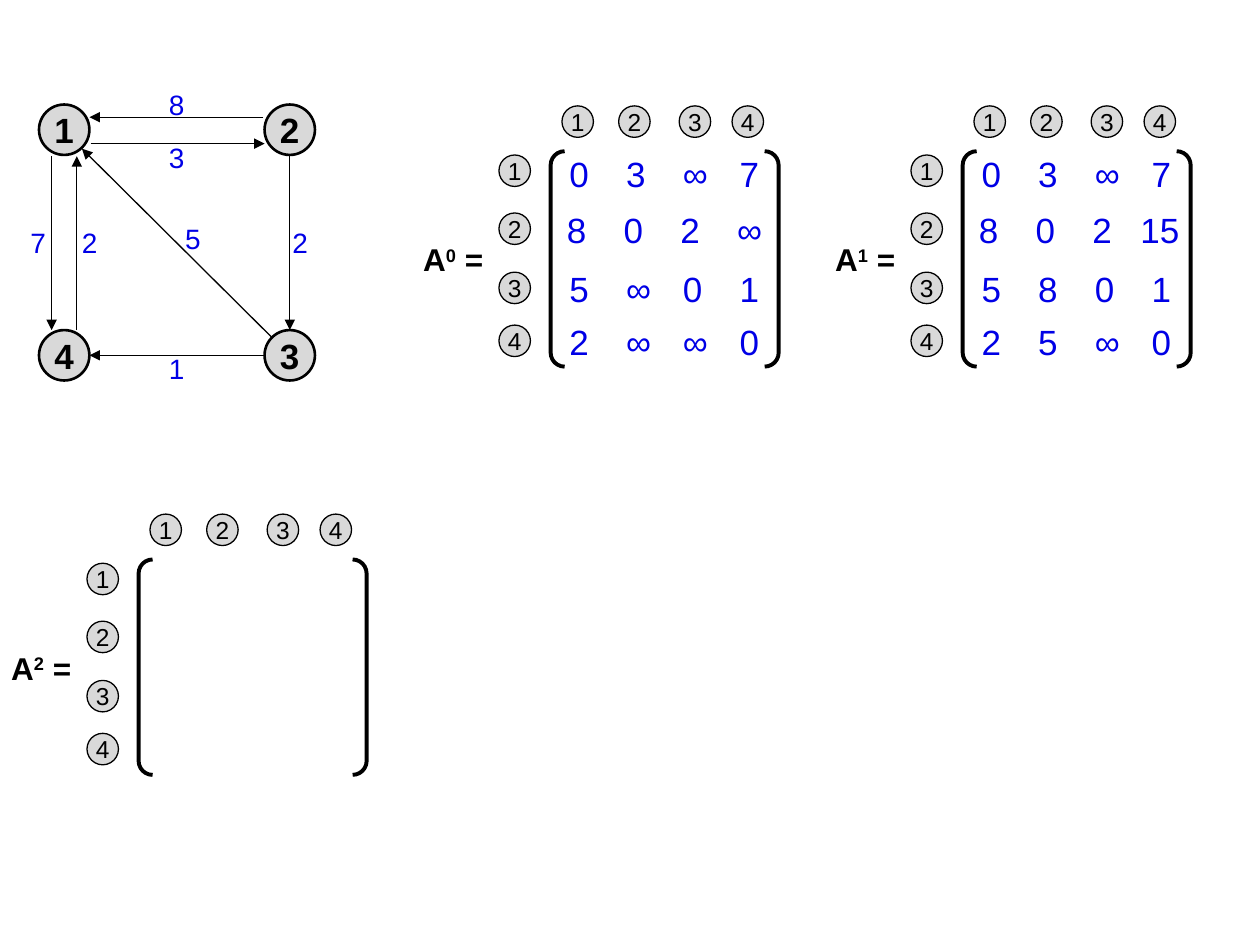
from dataclasses import dataclass

from lxml.etree import SubElement
from pptx import Presentation
from pptx.dml.color import RGBColor
from pptx.enum.shapes import MSO_CONNECTOR, MSO_SHAPE
from pptx.enum.text import MSO_ANCHOR, MSO_AUTO_SIZE, PP_ALIGN
from pptx.oxml.ns import qn
from pptx.util import Inches, Pt

SLIDE_WIDTH, SLIDE_HEIGHT = Inches(10), Inches(7.5)
GRID_COLUMNS = 1000
UNIT = SLIDE_WIDTH // GRID_COLUMNS


@dataclass(frozen=True)
class Theme:
    font: str = "Arial"
    ink: RGBColor = RGBColor(0, 0, 0)
    value: RGBColor = RGBColor(0, 0, 0xE6)
    node: RGBColor = RGBColor(0xD9, 0xD9, 0xD9)
    node_size: int = 20
    entry_size: int = 20
    label_size: int = 18
    weight_size: int = 16
    index_size: int = 14
    thin: float = 0.75
    medium: float = 1.5
    thick: float = 2.25


THEME = Theme()
NO_MARGINS = dict.fromkeys(
    ("margin_left", "margin_top", "margin_right", "margin_bottom"), 0)


@dataclass(frozen=True)
class Box:
    column: int
    row: int

    def point(self, column, row):
        return (self.column + column) * UNIT, (self.row + row) * UNIT

    def area(self, column, row, columns, rows):
        return *self.point(column, row), columns * UNIT, rows * UNIT


def apply(target, formats):
    for name, value in formats.items():
        setattr(target, name, value)


def add_span(para, text, size, color, bold=False):
    span = para.add_run()
    span.text = text
    apply(span.font, {"name": THEME.font, "size": Pt(size), "bold": bold})
    span.font.color.rgb = color
    return span


def add_circle(group, area, text, size, line_width, bold=False):
    circle = group.shapes.add_shape(MSO_SHAPE.OVAL, *area)
    circle.shadow.inherit = False
    circle.fill.solid()
    circle.fill.fore_color.rgb = THEME.node
    circle.line.color.rgb = THEME.ink
    circle.line.width = Pt(line_width)
    frame = circle.text_frame
    apply(frame, {**NO_MARGINS, "word_wrap": False,
                  "vertical_anchor": MSO_ANCHOR.MIDDLE})
    para = frame.paragraphs[0]
    para.alignment = PP_ALIGN.CENTER
    add_span(para, text, size, THEME.ink, bold)


def add_value(group, area, text, size):
    frame = group.shapes.add_textbox(*area).text_frame
    apply(frame, {**NO_MARGINS, "word_wrap": False,
                  "auto_size": MSO_AUTO_SIZE.SHAPE_TO_FIT_TEXT,
                  "vertical_anchor": MSO_ANCHOR.MIDDLE})
    add_span(frame.paragraphs[0], text, size, THEME.value)


def add_arrow(group, start, end):
    arrow = group.shapes.add_connector(MSO_CONNECTOR.STRAIGHT, *start, *end)
    arrow.line.color.rgb = THEME.ink
    arrow.line.width = Pt(THEME.thin)
    properties = arrow.element.spPr
    SubElement(properties.find(qn("a:ln")), qn("a:tailEnd"), type="triangle")
    SubElement(properties, qn("a:effectLst"))


def add_graph(page, box):
    nodes = {"3": (186, 193), "2": (186, 14), "1": (7, 14), "4": (7, 193)}
    edges = [
        ((186, 213), (47, 213), "1", (110, 210)),
        ((192, 199), (41, 49), "5", (123, 107)),
        ((206, 55), (206, 193), "2", (208, 110)),
        ((185, 24), (47, 24), "8", (110, 0)),
        ((48, 45), (186, 45), "3", (110, 42)),
        ((17, 55), (17, 193), "7", (0, 110)),
        ((37, 193), (37, 55), "2", (41, 110)),
    ]
    group = page.shapes.add_group_shape()
    for name, corner in nodes.items():
        add_circle(group, box.area(*corner, 40, 40), name,
                   THEME.node_size, THEME.medium, bold=True)
    for start, end, weight, corner in edges:
        add_arrow(group, box.point(*start), box.point(*end))
        add_value(group, box.area(*corner, 12, 27), weight, THEME.weight_size)


def add_brackets(group, area):
    brackets = group.shapes.add_shape(MSO_SHAPE.DOUBLE_BRACKET, *area)
    brackets.shadow.inherit = False
    brackets.adjustments[0] = 0.065
    brackets.fill.background()
    brackets.line.color.rgb = THEME.ink
    brackets.line.width = Pt(THEME.thick)


def add_matrix_name(group, area, power):
    frame = group.shapes.add_textbox(*area).text_frame
    apply(frame, {"word_wrap": False,
                  "auto_size": MSO_AUTO_SIZE.SHAPE_TO_FIT_TEXT})
    for text, baseline in (("A", 0), (power, 30000), (" =", 0)):
        span = add_span(frame.paragraphs[0], text, THEME.label_size,
                        THEME.ink, bold=True)
        if baseline:
            span.font._element.set("baseline", str(baseline))


def add_matrix(page, box, power, entries):
    index_columns = (120, 165, 213, 255)
    index_rows = (39, 85, 132, 174)
    row_starts = ((126, 37), (124, 81), (126, 128), (126, 170))
    column_step, digit_width = 45, 16
    widths = {"∞": 20, "15": 31}

    group = page.shapes.add_group_shape()
    for (start, top), line in zip(row_starts, entries):
        for place, entry in enumerate(line.split()):
            width = widths.get(entry, digit_width)
            shift = (width - digit_width) // 2 if len(entry) > 1 else 0
            left = start + place * column_step - shift
            add_value(group, box.area(left, top, width, 34), entry,
                      THEME.entry_size)
    add_brackets(group, box.area(111, 36, 181, 171))
    add_matrix_name(group, box.area(0, 102, 69, 40), power)
    corners = [(column, 0) for column in index_columns]
    corners += [(70, row) for row in index_rows]
    for place, corner in enumerate(corners):
        add_circle(group, box.area(*corner, 25, 25), str(place % 4 + 1),
                   THEME.index_size, THEME.thin)


def main():
    deck = Presentation()
    apply(deck, {"slide_width": SLIDE_WIDTH, "slide_height": SLIDE_HEIGHT})
    page = deck.slides.add_slide(deck.slide_layouts[6])
    add_graph(page, Box(24, 69))
    add_matrix(page, Box(326, 84), "0",
               ("0 3 ∞ 7", "8 0 2 ∞", "5 ∞ 0 1", "2 ∞ ∞ 0"))
    add_matrix(page, Box(653, 84), "1",
               ("0 3 ∞ 7", "8 0 2 15", "5 8 0 1", "2 5 ∞ 0"))
    add_matrix(page, Box(-1, 408), "2", ())
    deck.save("out.pptx")


if __name__ == "__main__":
    main()
